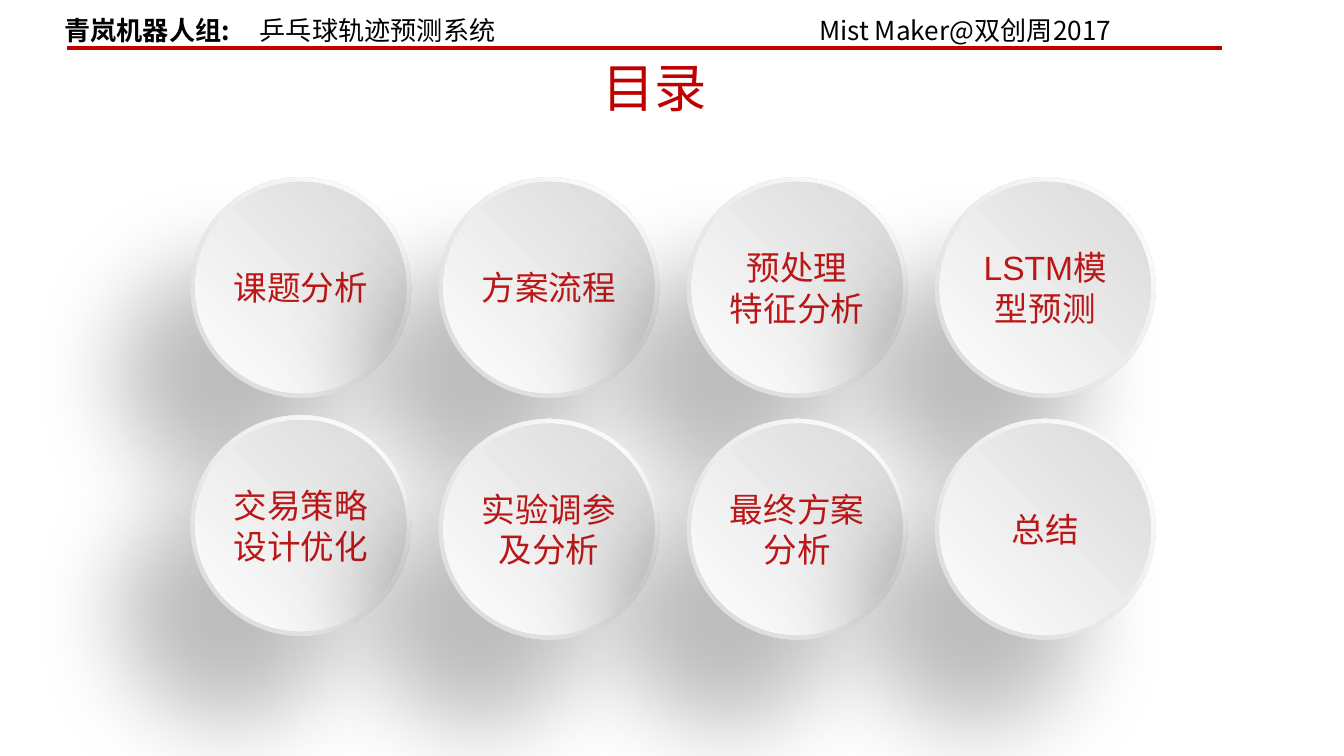
from lxml import etree
from pptx import Presentation
from pptx import util as u
from pptx.dml.color import RGBColor
from pptx.enum import shapes, text
from pptx.oxml.ns import qn

CJK = "Noto Sans CJK SC"
RED = "C00000"
TOPICS = [
    [["课题分析"], ["方案流程"], ["预处理", "特征分析"], ["LSTM模型预测"]],
    [["交易策略设计优化"], ["实验调参及分析"], ["最终方案分析"], ["总结"]],
]
LEFT, PITCH = 3.6, 4.69
ROW_TOPS = [[3.35] * 4, [7.85, 7.92, 7.92, 7.92]]
RIM, FACE = 4.17, 3.99


def color(value):
    return RGBColor.from_string(value)


def child(parent, tag, **attributes):
    return etree.SubElement(parent, qn(tag), attributes)


class AgendaSlide:
    """Holds the slide and draws its elements; lengths are in centimetres."""

    def __init__(self, slide):
        self.slide = slide

    def add_run(self, paragraph, words, size, ink, font=CJK, bold=False):
        run = paragraph.add_run()
        run.text = words
        run.font.name = font
        run.font.size = u.Pt(size)
        run.font.bold = bold
        run.font.color.rgb = color(ink)
        child(run.font._element, "a:ea", typeface=CJK)

    def header(self, runs, tabs):
        """Add the top line from (words, bold) runs, aligned at tab stops."""
        box = self.slide.shapes.add_textbox(u.Cm(0.97), u.Cm(0.15), u.Cm(22.53), u.Cm(0.84))
        box.text_frame.word_wrap = True
        paragraph = box.text_frame.paragraphs[0]
        stops = child(paragraph._p.get_or_add_pPr(), "a:tabLst")
        for stop in tabs:
            child(stops, "a:tab", pos=str(u.Cm(stop)), algn="l")
        for words, bold in runs:
            self.add_run(paragraph, words, 14, "000000", bold=bold)

    def rule(self, left, right, y):
        line = self.slide.shapes.add_connector(
            shapes.MSO_CONNECTOR.STRAIGHT, u.Cm(left), u.Cm(y), u.Cm(right), u.Cm(y))
        line.line.color.rgb = color(RED)
        line.line.width = u.Pt(2.25)
        child(line._element.spPr, "a:effectLst")

    def title(self, words):
        title = self.slide.shapes.title
        title.left, title.top = u.Cm(1.57), u.Cm(1.07)
        title.width, title.height = u.Cm(21.59), u.Cm(1.14)
        frame = title.text_frame
        frame.vertical_anchor = text.MSO_ANCHOR.MIDDLE
        frame.auto_size = text.MSO_AUTO_SIZE.NONE
        frame.paragraphs[0].alignment = text.PP_ALIGN.CENTER
        self.add_run(frame.paragraphs[0], words, 28, RED)

    def disc(self, group, left, top, size, stops):
        """Add a circle whose gradient spreads from its top right corner."""
        disc = group.shapes.add_shape(
            shapes.MSO_SHAPE.OVAL, u.Cm(left), u.Cm(top), u.Cm(size), u.Cm(size))
        disc.shadow.inherit = False
        disc.line.fill.background()
        disc.fill.gradient()
        for stop, shade in zip(disc.fill.gradient_stops, stops):
            stop.color.rgb = color(shade)
        gradient = disc._element.spPr.find(qn("a:gradFill"))
        gradient.remove(gradient.find(qn("a:lin")))
        spread = child(gradient, "a:path", path="circle")
        child(spread, "a:fillToRect", l="100000", b="100000")
        return disc

    def cast_shadow(self, disc):
        effects = disc._element.spPr.find(qn("a:effectLst"))
        shadow = child(effects, "a:outerShdw", blurRad=str(u.Pt(50)), dist=str(u.Pt(60)),
                       dir=str(130 * 60000), algn="ctr", rotWithShape="0")
        black = child(shadow, "a:srgbClr", val="000000")
        child(black, "a:alpha", val="25000")

    def button(self, left, top, lines):
        group = self.slide.shapes.add_group_shape()
        rim = self.disc(group, left, top, RIM, ("FFFFFF", "D9D9D9"))
        self.cast_shadow(rim)
        inset = (RIM - FACE) / 2
        face = self.disc(group, left + inset, top + inset, FACE, ("D9D9D9", "FEFEFE"))
        frame = face.text_frame
        frame.word_wrap = True
        frame.margin_left = frame.margin_right = 0
        frame.vertical_anchor = text.MSO_ANCHOR.MIDDLE
        for index, words in enumerate(lines):
            paragraph = frame.add_paragraph() if index else frame.paragraphs[0]
            paragraph.alignment = text.PP_ALIGN.CENTER
            self.add_run(paragraph, words, 18, "BB1717", font="Arial")


def main():
    deck = Presentation()
    deck.slide_width, deck.slide_height = u.Cm(25.4), u.Cm(14.29)
    agenda = AgendaSlide(deck.slides.add_slide(deck.slide_layouts[5]))
    agenda.header([("青岚机器人组:\t", True),
                   ("乒乓球轨迹预测系统\tMist Maker@双创周2017", False)], tabs=(3.69, 14.26))
    agenda.rule(1.27, 23.09, 0.91)
    agenda.title("目录")
    for topics, tops in zip(TOPICS, ROW_TOPS):
        for column, (lines, top) in enumerate(zip(topics, tops)):
            agenda.button(LEFT + column * PITCH, top, lines)
    deck.save("out.pptx")


if __name__ == "__main__":
    main()
